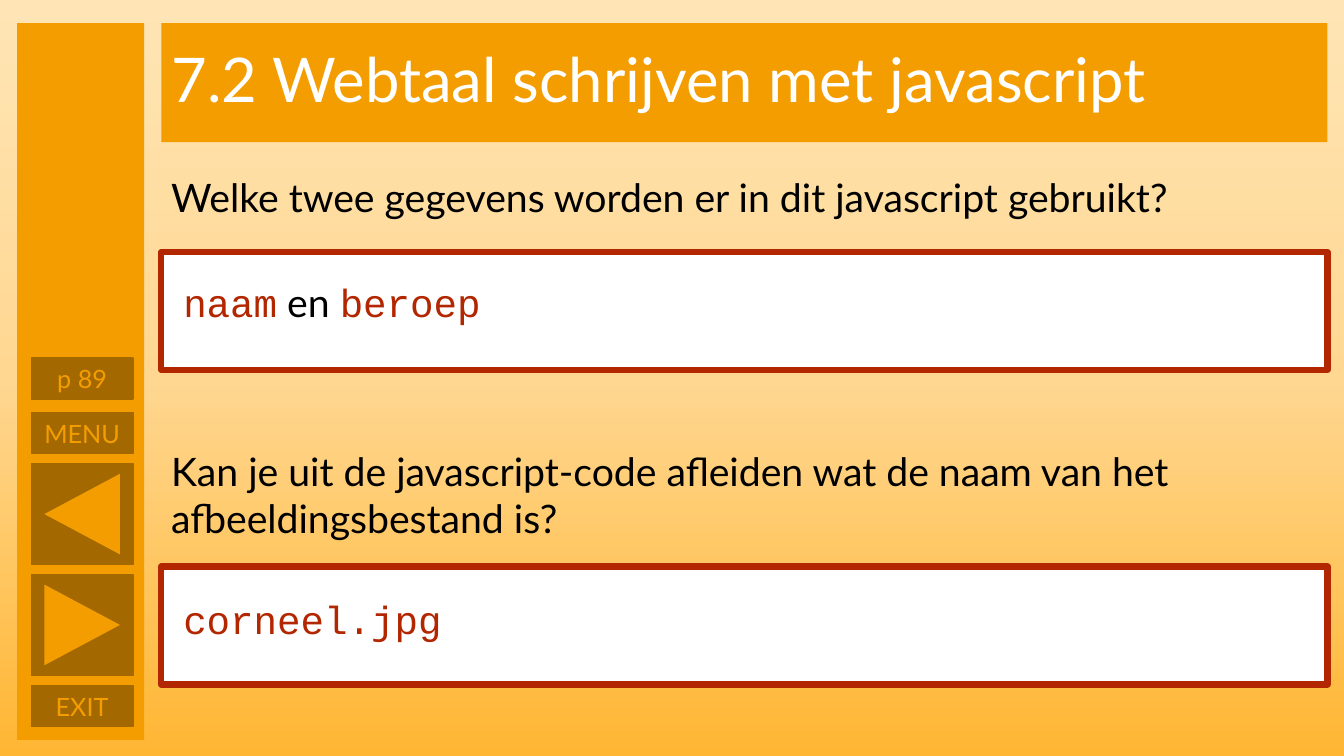
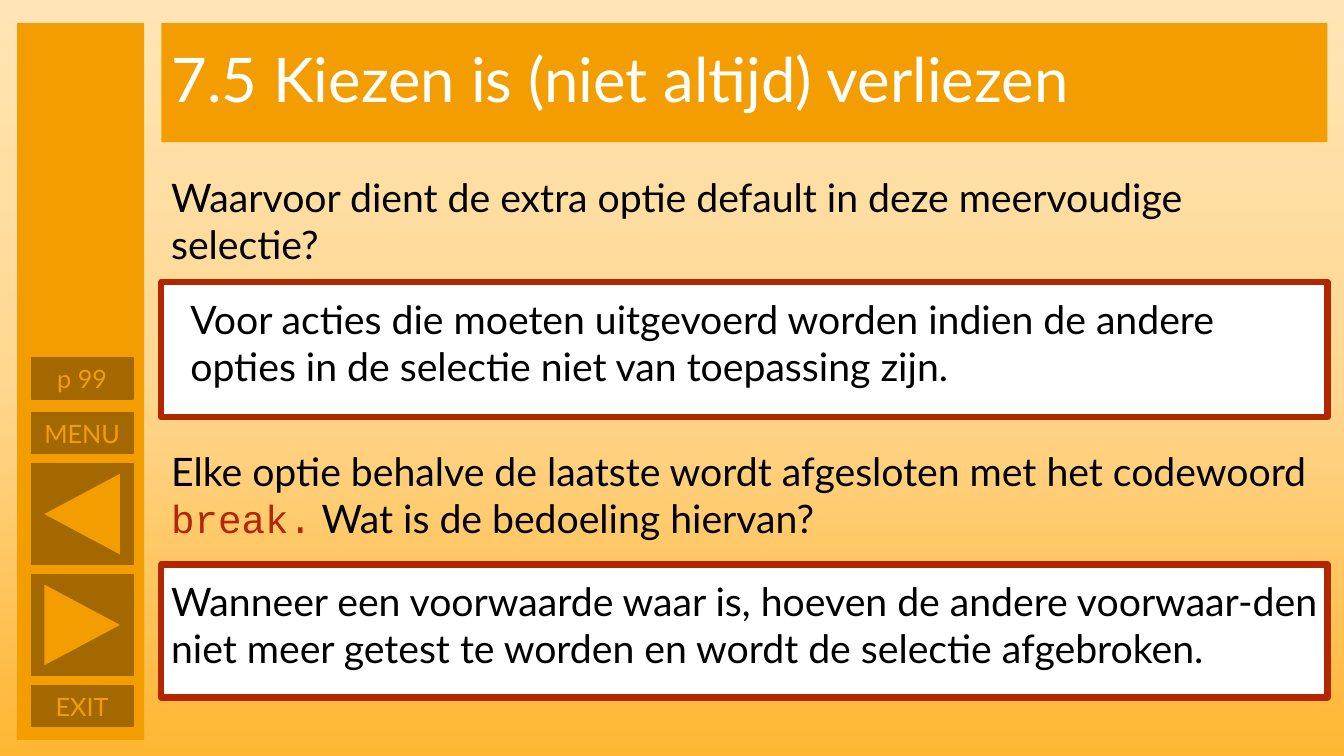
from copy import deepcopy
from dataclasses import dataclass

from pptx import Presentation
from pptx.dml.color import RGBColor
from pptx.enum.shapes import MSO_SHAPE
from pptx.enum.text import MSO_ANCHOR, MSO_AUTO_SIZE, PP_ALIGN
from pptx.oxml.ns import qn
from pptx.util import Pt

RECTANGLE = MSO_SHAPE.RECTANGLE
TRIANGLE = MSO_SHAPE.ISOSCELES_TRIANGLE
MIDDLE = MSO_ANCHOR.MIDDLE
LEFT, CENTER = PP_ALIGN.LEFT, PP_ALIGN.CENTER
NO_FIT, GROW = MSO_AUTO_SIZE.NONE, MSO_AUTO_SIZE.SHAPE_TO_FIT_TEXT
TITLE_ONLY = 5


@dataclass(frozen=True)
class Theme:
    orange: str = "F49D00"
    brown: str = "A36900"
    red: str = "B22600"
    white: str = "FFFFFF"
    black: str = "000000"
    backdrop: tuple = ((0, "FFE5B5"), (0.5, "FFD791"), (1, "FFB633"))
    font: str = "Lato"
    code_font: str = "Courier New"
    title_size: int = 44
    body_size: int = 28
    button_size: int = 18


THEME = Theme()

# Layout, in points
SLIDE_WIDTH, SLIDE_HEIGHT = 960, 540
BAND_TOP = 16.56
CONTENT_LEFT, CONTENT_WIDTH = 115.2, 833
BUTTON_LEFT, BUTTON_WIDTH = 22.32, 72.72
LABEL_HEIGHT, ARROW_HEIGHT = 29.52, 72
ARROW_SIZE = (57.6, 54)
LINE_HEIGHT, TWO_LINES = 41, 75


@dataclass(frozen=True)
class Span:
    text: str
    code: bool = False


@dataclass(frozen=True)
class Question:
    top: float
    height: float
    spans: tuple


@dataclass(frozen=True)
class Answer:
    box_top: float
    box_height: float
    text_frame: tuple  # left, top, width, height
    spans: tuple


@dataclass(frozen=True)
class Page:
    title: str
    number: str
    questions: tuple
    answers: tuple


PAGES = (
    Page(
        "7.2\tWebtaal schrijven met javascript",
        "p 89",
        (
            Question(120.24, LINE_HEIGHT, (
                Span("Welke twee gegevens worden er in dit javascript gebruikt?"),)),
            Question(316, TWO_LINES, (
                Span("Kan je uit de javascript-code afleiden wat de naam van het "
                     "afbeeldingsbestand is?"),)),
        ),
        (
            Answer(180, 84.24, (123.84, 195.12, 811.44, LINE_HEIGHT), (
                Span("naam", code=True), Span(" en "), Span("beroep", code=True))),
            Answer(404.64, 84.24, (123.84, 421.92, 811.44, LINE_HEIGHT), (
                Span("corneel.jpg", code=True),)),
        ),
    ),
    Page(
        "7.5 Kiezen is (niet altijd) verliezen",
        "p 99",
        (
            Question(120.24, TWO_LINES, (
                Span("Waarvoor dient de extra optie default in deze meervoudige "
                     "selectie?"),)),
            Question(316, TWO_LINES, (
                Span("Elke optie behalve de laatste wordt afgesloten met het codewoord "),
                Span("break.", code=True),
                Span(" Wat is de bedoeling hiervan?"))),
        ),
        (
            Answer(201.6, 96.48, (128.88, 207.36, 818.64, TWO_LINES), (
                Span("Voor acties die moeten uitgevoerd worden indien de andere "
                     "opties in de selectie niet van toepassing zijn."),)),
            Answer(403.2, 95.04, (CONTENT_LEFT, 409, 844.56, TWO_LINES), (
                Span("Wanneer een voorwaarde waar is, hoeven de andere voorwaar-den "
                     "niet meer getest te worden en wordt de selectie afgebroken."),)),
        ),
    ),
)


def color(value):
    return RGBColor.from_string(value)


def write(frame, spans, size=THEME.body_size, ink=THEME.black, align=LEFT,
          anchor=None, spacing=None, fit=NO_FIT):
    """Fill a text frame with one paragraph; code spans get the code style."""
    frame.word_wrap = True
    frame.auto_size = fit
    if anchor is not None:
        frame.vertical_anchor = anchor
    para = frame.paragraphs[0]
    para.alignment = align
    if spacing is not None:
        para.line_spacing = spacing
    for span in spans:
        run = para.add_run()
        run.text = span.text
        run.font.size = Pt(size)
        run.font.name = THEME.code_font if span.code else THEME.font
        run.font.color.rgb = color(THEME.red if span.code else ink)


def add_box(page, left, top, width, height, fill, kind=RECTANGLE, line=None, weight=1):
    box = page.shapes.add_shape(kind, Pt(left), Pt(top), Pt(width), Pt(height))
    box.shadow.inherit = False
    box.fill.solid()
    box.fill.fore_color.rgb = color(fill)
    if line:
        box.line.color.rgb = color(line)
        box.line.width = Pt(weight)
    else:
        box.line.fill.background()
    return box


def add_text(page, left, top, width, height, spans):
    box = page.shapes.add_textbox(Pt(left), Pt(top), Pt(width), Pt(height))
    write(box.text_frame, spans, fit=GROW)


def add_button(page, top, height):
    return add_box(page, BUTTON_LEFT, top, BUTTON_WIDTH, height, THEME.brown,
                   line=THEME.brown)


def add_label_button(page, top, label):
    button = add_button(page, top, LABEL_HEIGHT)
    write(button.text_frame, [Span(label)], size=THEME.button_size,
          ink=THEME.orange, align=CENTER, anchor=MIDDLE)


def add_arrow_button(page, top, rotation):
    add_button(page, top, ARROW_HEIGHT)
    width, height = ARROW_SIZE
    arrow = add_box(page, BUTTON_LEFT + (BUTTON_WIDTH - width) / 2,
                    top + (ARROW_HEIGHT - height) / 2, width, height,
                    THEME.orange, kind=TRIANGLE)
    arrow.rotation = rotation


def add_navigation(page, number):
    add_box(page, 12.24, BAND_TOP, 90.72, 511.92, THEME.orange)
    add_label_button(page, 489.6, "EXIT")
    add_arrow_button(page, 410.4, 90)
    add_arrow_button(page, 331.2, 270)
    add_label_button(page, 294.48, "MENU")
    add_label_button(page, 255.6, number)


def set_title(page, text):
    title = page.shapes.title
    title.left, title.top = Pt(CONTENT_LEFT), Pt(BAND_TOP)
    title.width, title.height = Pt(CONTENT_WIDTH), Pt(85)
    title.fill.solid()
    title.fill.fore_color.rgb = color(THEME.orange)
    write(title.text_frame, [Span(text)], size=THEME.title_size, ink=THEME.white,
          anchor=MIDDLE, spacing=0.9)


def set_backdrop(master):
    """Give all slides the shared three-colour gradient, from top to bottom."""
    fill = master.background.fill
    fill.gradient()
    fill.gradient_angle = 270
    stop_list = master.element.find(".//" + qn("a:gsLst"))
    stop_list.append(deepcopy(stop_list[-1]))
    for stop, (position, value) in zip(fill.gradient_stops, THEME.backdrop):
        stop.position = position
        stop.color.rgb = color(value)


def build_page(deck, content):
    page = deck.slides.add_slide(deck.slide_layouts[TITLE_ONLY])
    set_title(page, content.title)
    add_navigation(page, content.number)
    for question in content.questions:
        add_text(page, CONTENT_LEFT, question.top, CONTENT_WIDTH, question.height,
                 question.spans)
    for answer in content.answers:
        add_box(page, CONTENT_LEFT, answer.box_top, CONTENT_WIDTH, answer.box_height,
                THEME.white, line=THEME.red, weight=4.5)
        add_text(page, *answer.text_frame, answer.spans)


def main():
    deck = Presentation()
    deck.slide_width, deck.slide_height = Pt(SLIDE_WIDTH), Pt(SLIDE_HEIGHT)
    set_backdrop(deck.slide_master)
    for content in PAGES:
        build_page(deck, content)
    deck.save("out.pptx")


if __name__ == "__main__":
    main()
